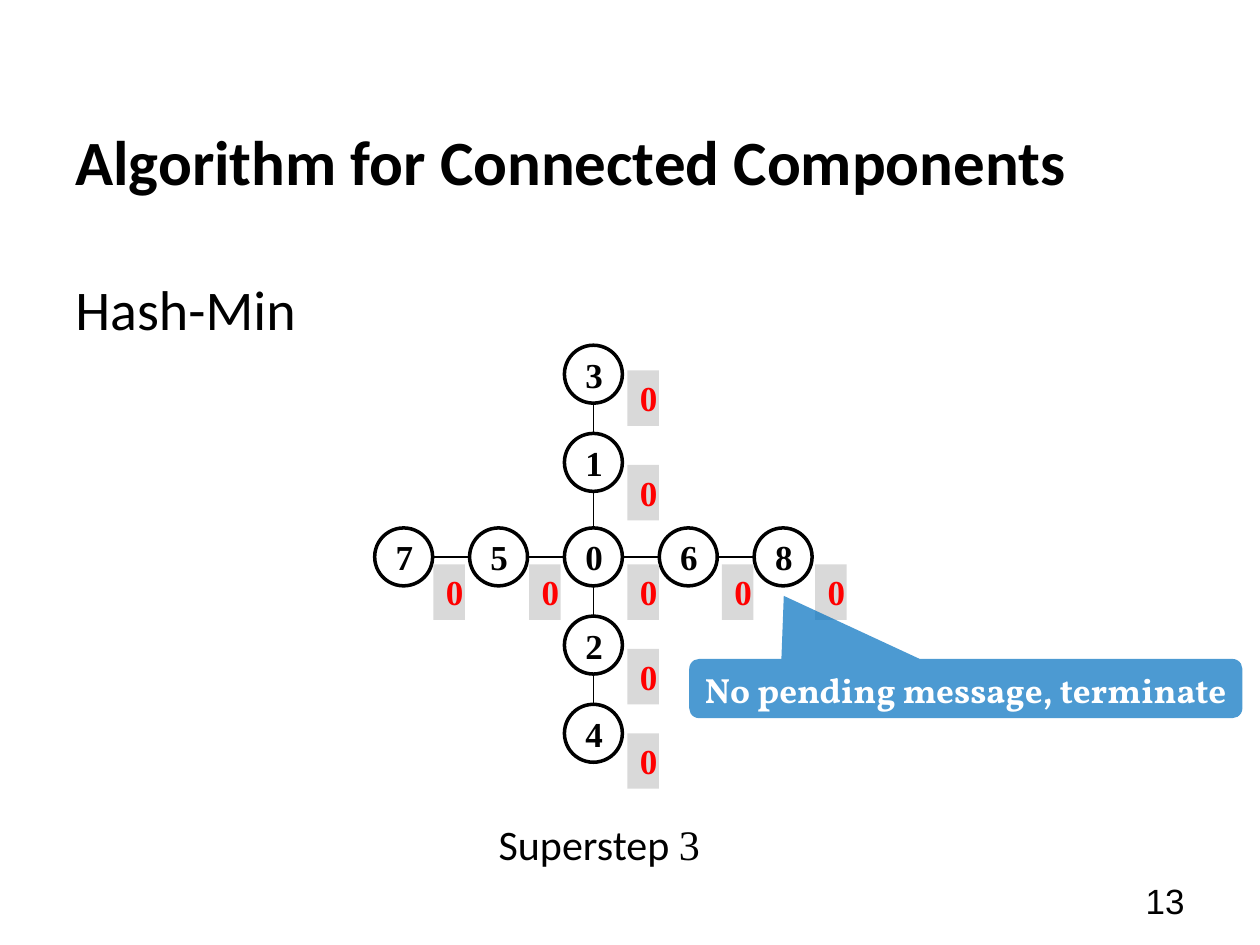
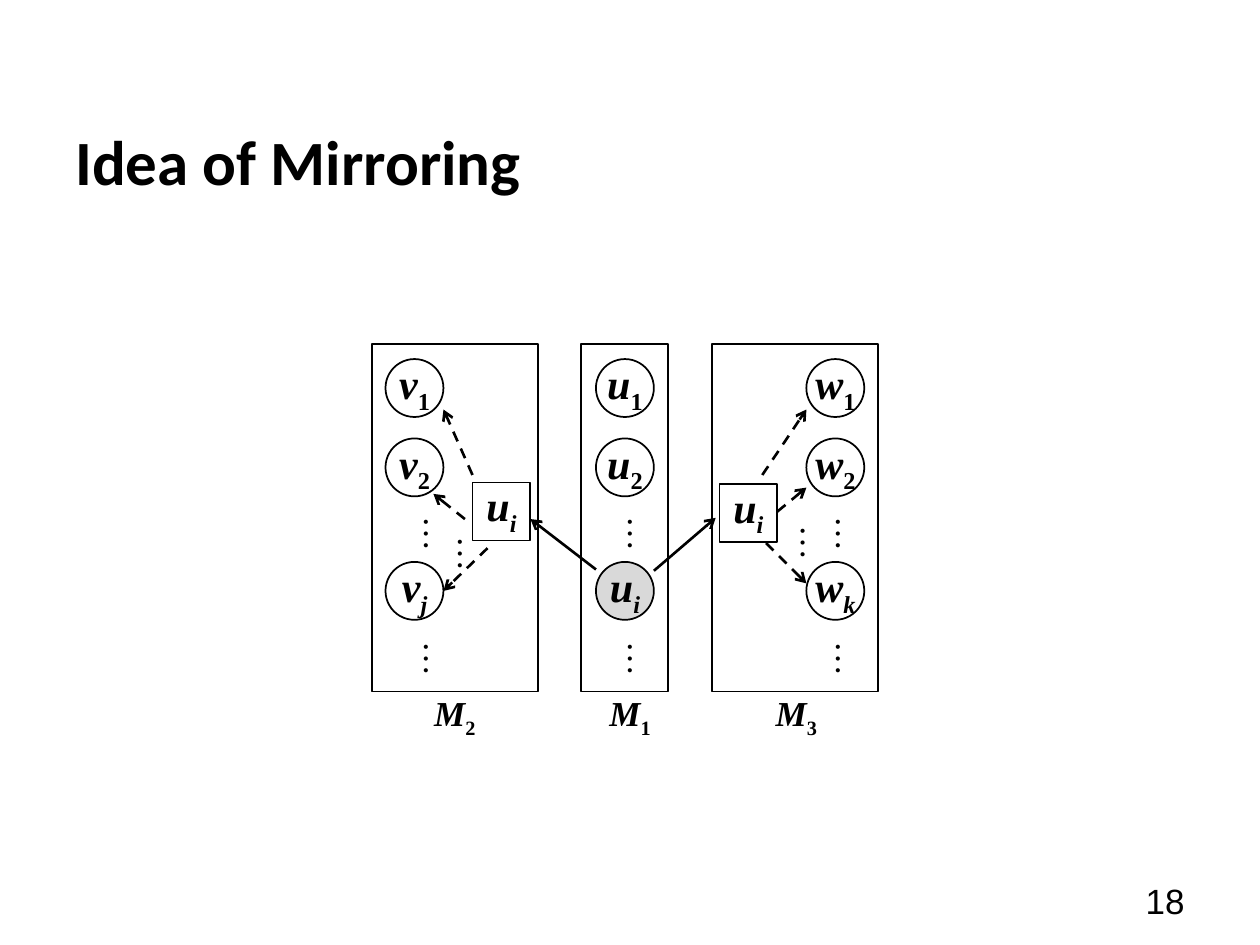
"""Two slides on graph processing: Hash-Min and mirroring."""
from lxml import etree
from pptx import Presentation
from pptx import util as u
from pptx.dml.color import RGBColor
from pptx.enum import dml, shapes, text
from pptx.oxml import ns

COLORS = {"ink": "000000", "paper": "FFFFFF", "grey": "D9D9D9",
          "red": "FF0000", "blue": "0070C0"}
SERIF, SANS = "Times New Roman", "Calibri"
NODE = 0.46  # diameter of a vertex and side of a mirror
LEFT, CENTER, RIGHT = text.PP_ALIGN.LEFT, text.PP_ALIGN.CENTER, text.PP_ALIGN.RIGHT
TOP, MIDDLE = text.MSO_ANCHOR.TOP, text.MSO_ANCHOR.MIDDLE
SHAPE = shapes.MSO_SHAPE


def cm(*inches):
    """Turn inches into Cm lengths."""
    return [u.Cm(v * 2.54) for v in inches]


def rgb(name):
    """Look up a colour of the palette."""
    return RGBColor.from_string(COLORS[name])


def add_text(sp, runs, size=20, font=SERIF, color="ink", bold=False, italic=False,
             align=CENTER, anchor=TOP, wrap=True, grow=False, before=0):
    """Write one paragraph; runs is a string or a list of (string, changes)."""
    tf = sp.text_frame
    tf.word_wrap, tf.vertical_anchor = wrap, anchor
    tf.auto_size = (text.MSO_AUTO_SIZE.SHAPE_TO_FIT_TEXT if grow
                    else text.MSO_AUTO_SIZE.NONE)
    p = tf.paragraphs[0]
    p.alignment, p.space_before = align, u.Pt(before)
    for words, changes in [(runs, {})] if isinstance(runs, str) else runs:
        r = p.add_run()
        r.text = words
        r.font.size, r.font.bold = u.Pt(size), bold
        r.font.name = changes.get("font", font)
        r.font.italic = changes.get("italic", italic)
        r.font.color.rgb = rgb(color)
        if changes.get("sub"):
            r._r.get_or_add_rPr().set("baseline", "-25000")


class Deck:
    """Holds the shared style and the current slide."""

    def __init__(self):
        """Open an empty 4:3 presentation."""
        self.prs = Presentation()
        self.prs.slide_width, self.prs.slide_height = cm(10, 7.5)

    def new_slide(self, title, number):
        """Start a slide with its title and page number."""
        self.slide = self.prs.slides.add_slide(self.prs.slide_layouts[6])
        self.text(0.5, 0.65, 9, 1.25, title, size=36, font=SANS, bold=True,
                  align=LEFT, anchor=MIDDLE)
        self.text(7.17, 6.95, 2.33, 0.4, str(number), font="Arial",
                  align=RIGHT, anchor=MIDDLE)

    def text(self, x, y, w, h, runs, **style):
        """Add a text box."""
        sp = self.slide.shapes.add_textbox(*cm(x, y, w, h))
        add_text(sp, runs, **style)
        return sp

    def shape(self, kind, x, y, w, h, fill=None, line=None):
        """Add a preset shape; line is a width in points."""
        sp = self.slide.shapes.add_shape(kind, *cm(x, y, w, h))
        sp.shadow.inherit = False
        if fill:
            sp.fill.solid()
            sp.fill.fore_color.rgb = rgb(fill)
        else:
            sp.fill.background()
        if line:
            sp.line.width = u.Pt(line)
            sp.line.color.rgb = rgb("ink")
        else:
            sp.line.fill.background()
        return sp

    def node(self, cx, cy, kind=SHAPE.OVAL, fill="paper", line=1):
        """Add a vertex or mirror around its centre."""
        return self.shape(kind, cx - NODE / 2, cy - NODE / 2, NODE, NODE, fill, line)

    def value(self, x, y, words):
        """Add the grey tag with the red current value of a vertex."""
        sp = self.shape(SHAPE.RECTANGLE, x, y, 0.25, 0.44, "grey")
        add_text(sp, words, color="red", bold=True, grow=True)

    def indexed(self, cx, y, letter, index, size=24):
        """Add an italic symbol with a subscript, centred on cx."""
        w = 0.65
        changes = {"sub": True, "italic": index.isalpha()}
        self.text(cx - w / 2, y, w, 0.47, [(letter, {}), (index, changes)], size=size,
                  bold=True, italic=True, wrap=False, grow=True)

    def dots(self, cx, y):
        """Add a vertical ellipsis, centred on cx."""
        sp = self.text(cx - 0.315, y, 0.63, 0.45, "…", align=LEFT, wrap=False, grow=True)
        sp.text_frame._txBody.bodyPr.set("vert", "eaVert")

    def line(self, start, end, width=0.75, dash=False, arrow=False):
        """Add a straight line, with an arrowhead at its end if wanted."""
        sp = self.slide.shapes.add_connector(
            shapes.MSO_CONNECTOR.STRAIGHT, *cm(*start, *end))
        sp.line.width = u.Pt(width)
        sp.line.color.rgb = rgb("ink")
        if dash:
            sp.line.dash_style = dml.MSO_LINE.DASH
        if arrow:
            etree.SubElement(sp.line._get_or_add_ln(), ns.qn("a:tailEnd"), type="arrow")
        etree.SubElement(sp._element.spPr, ns.qn("a:effectLst"))

    def callout(self, x, y, w, h, words, adjustments):
        """Add a see-through speech bubble."""
        sp = self.shape(SHAPE.ROUNDED_RECTANGULAR_CALLOUT, x, y, w, h, "blue")
        for i, value in enumerate(adjustments):
            sp.adjustments[i] = value
        color = sp._element.spPr.find(".//" + ns.qn("a:srgbClr"))
        etree.SubElement(color, ns.qn("a:alpha"), val="70000")
        add_text(sp, words, font="Vollkorn", color="paper", bold=True)


def hash_min(deck):
    """Draw the cross-shaped graph after superstep 3."""
    deck.new_slide("Algorithm for Connected Components", 13)
    deck.text(0.5, 2.13, 9, 4.62, "Hash-Min", size=32, font=SANS, align=LEFT, before=20)

    cx, cy, step = 4.71, 4.42, 0.753
    row = [(cx + step * i, cy) for i in range(-2, 3)]
    column = [(cx, cy + dy) for dy in (-1.45, -0.75, 0.7, 1.4)]
    deck.line(column[0], column[-1])
    deck.line(row[0], row[-1])
    for label, (x, y) in zip("750683124", row + column):
        add_text(deck.node(x, y, line=2), label, bold=True, anchor=MIDDLE)

    for x in (3.44, 4.2, 4.98, 5.73, 6.47):
        deck.value(x, 4.48, "0")
    for y in (2.94, 3.69, 5.15, 5.82):
        deck.value(4.98, y, "0")

    deck.text(3.86, 6.45, 1.84, 0.5, [("Superstep ", {}), ("3", {"font": SERIF})],
              size=24, font=SANS, align=LEFT, wrap=False, grow=True)
    deck.callout(5.47, 5.23, 4.39, 0.47, "No pending message, terminate",
                 (-0.329, -1.565, 0.167))


def mirroring(deck):
    """Draw three machines and the mirrors of vertex u_i."""
    deck.new_slide("Idea of Mirroring", 18)
    machines = [  # vertices, number, panel left and width, centres
        ("v", "12j", "2", 2.95, 1.32, 3.29, 3.38, 3.61),
        ("u", "12i", "1", 4.61, 0.69, 4.96, 5.0, 5.0),
        ("w", "12k", "3", 5.65, 1.32, 6.63, 6.65, 6.32),
    ]
    for letter, indexes, number, x, w, node_x, dots_x, caption_x in machines:
        deck.shape(SHAPE.RECTANGLE, x, 2.73, w, 2.76, line=1)
        for index, y in zip(indexes, (3.08, 3.71, 4.69)):
            deck.node(node_x, y, fill="grey" if index == "i" else "paper")
            deck.indexed(node_x, y - 0.29, letter, index)
        for y in (4, 4.99):
            deck.dots(dots_x, y)
        deck.indexed(caption_x, 5.44, "M", number, size=20)

    for x, y in ((3.98, 4.06), (5.94, 4.07)):
        deck.node(x, y, kind=SHAPE.RECTANGLE)
        deck.indexed(x, y - 0.3, "u", "i")

    to_mirrors = [((4.73, 4.52), (4.21, 4.12)), ((5.19, 4.53), (5.68, 4.11))]
    to_neighbours = [
        ((3.75, 3.77), (3.52, 3.25)), ((3.69, 4.12), (3.44, 3.92)),
        ((3.87, 4.35), (3.52, 4.69)), ((6.05, 3.77), (6.4, 3.25)),
        ((6.17, 4.06), (6.4, 3.87)), ((6.08, 4.31), (6.4, 4.63)),
    ]
    for start, end in to_mirrors:
        deck.line(start, end, width=1.5, arrow=True)
    for start, end in to_neighbours:
        deck.line(start, end, width=1.5, dash=True, arrow=True)
    deck.dots(3.65, 4.16)
    deck.dots(6.37, 4.07)


def main():
    """Build both slides and save them."""
    deck = Deck()
    hash_min(deck)
    mirroring(deck)
    deck.prs.save("out.pptx")


main()
